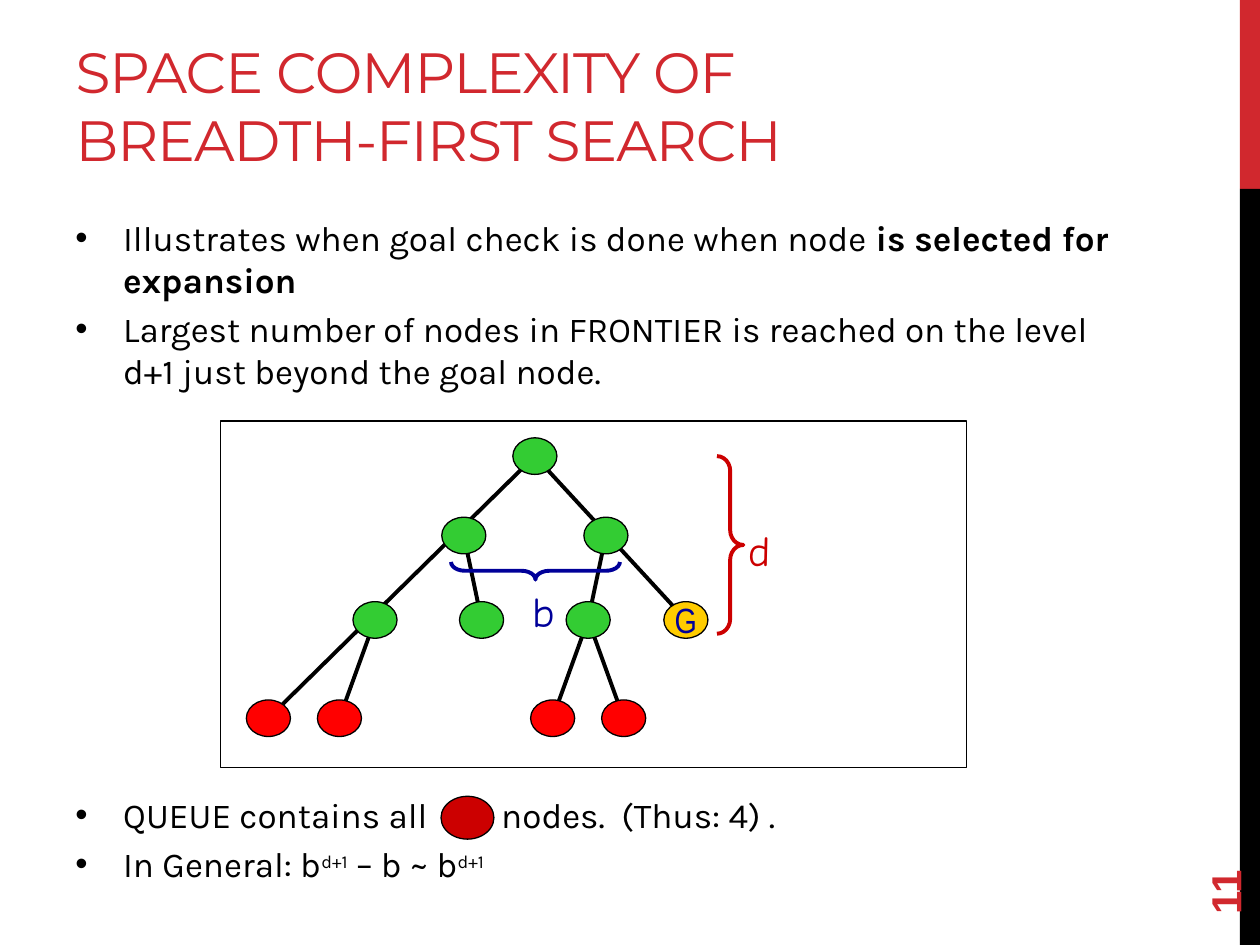
import pptx
import pptx.dml.color
import pptx.enum.shapes
import pptx.enum.text
import pptx.oxml.ns
import pptx.util
from lxml import etree

SHAPES = pptx.enum.shapes.MSO_SHAPE
ANCHOR = pptx.enum.text.MSO_ANCHOR
ALIGN = pptx.enum.text.PP_ALIGN
inch = pptx.util.Inches

RED, BLACK, WHITE = "D1282E", "000000", "FFFFFF"
GREEN, BRIGHT_RED, GOLD = "33CC33", "FF0000", "FFCC00"
NAVY, DARK_RED = "000099", "CC0000"

# Tree grid: 20 columns between the outer leaves, one row per level
TREE_LEFT, TREE_WIDTH, TREE_COLUMNS = 2.13, 2.82, 20
LEVELS = [3.62, 4.25, 4.92, 5.7]
NODE_SIZE = (0.35, 0.29)

# name: (column, level, fill)
NODES = {
    "root": (15, 0, GREEN),
    "left": (11, 1, GREEN),
    "right": (19, 1, GREEN),
    "left outer": (6, 2, GREEN),
    "left inner": (12, 2, GREEN),
    "right inner": (18, 2, GREEN),
    "goal": (23.5, 2, GOLD),
    "leaf 1": (0, 3, BRIGHT_RED),
    "leaf 2": (4, 3, BRIGHT_RED),
    "leaf 3": (16, 3, BRIGHT_RED),
    "leaf 4": (20, 3, BRIGHT_RED),
}
# The two outer branches run straight through the nodes between their ends
EDGES = [
    ("root", "leaf 1"), ("root", "goal"),
    ("left", "left inner"), ("left outer", "leaf 2"),
    ("right", "right inner"),
    ("right inner", "leaf 3"), ("right inner", "leaf 4"),
]


def color(value):
    return pptx.dml.color.RGBColor.from_string(value)


def add_span(para, text, font, size, fill, bold=False, raised=False):
    span = para.add_run()
    span.text = text
    span.font.name = font
    span.font.size = pptx.util.Pt(size)
    span.font.bold = bold
    span.font.color.rgb = color(fill)
    if raised:
        span.font._element.set("baseline", "30000")
    return span


def add_shape(page, kind, box, fill=None, line=None, width=0.75):
    shape = page.shapes.add_shape(kind, *map(inch, box))
    shape.shadow.inherit = False
    if fill:
        shape.fill.solid()
        shape.fill.fore_color.rgb = color(fill)
    else:
        shape.fill.background()
    if line:
        shape.line.color.rgb = color(line)
        shape.line.width = pptx.util.Pt(width)
    else:
        shape.line.fill.background()
    return shape


def add_text_box(page, box, wrap=True):
    text_box = page.shapes.add_textbox(*map(inch, box))
    text_box.text_frame.word_wrap = wrap
    return text_box


def add_label(page, box, text, fill):
    text_box = add_text_box(page, box, wrap=False)
    add_span(text_box.text_frame.paragraphs[0], text, "Comic Neue", 24, fill)


def add_child(parent, tag, **attributes):
    return etree.SubElement(parent, pptx.oxml.ns.qn(tag), attributes)


def format_bullet(para, tab=None):
    para.space_before = pptx.util.Pt(4)
    properties = para._p.get_or_add_pPr()
    indent = inch(0.38)
    properties.set("marL", str(indent))
    properties.set("indent", str(-indent))
    add_child(add_child(properties, "a:buClr"), "a:srgbClr", val=BLACK)
    add_child(properties, "a:buFont", typeface="Arial")
    add_child(properties, "a:buChar", char="•")
    if tab:
        stops = add_child(properties, "a:tabLst")
        add_child(stops, "a:tab", pos=str(inch(tab)), algn="l")


def add_bullets(page, top, items, tab=None):
    """Each item is a list of (text, style) spans."""
    frame = add_text_box(page, (0.5, top, 8.67, 1.08)).text_frame
    for index, item in enumerate(items):
        para = frame.add_paragraph() if index else frame.paragraphs[0]
        format_bullet(para, tab if "\t" in item[0][0] else None)
        for text, style in item:
            add_span(para, text, "Karla", 18 if style == "raised" else 20, BLACK,
                     bold=style == "bold", raised=style == "raised")


def node_center(name):
    column, level, _ = NODES[name]
    return TREE_LEFT + column * TREE_WIDTH / TREE_COLUMNS, LEVELS[level]


def add_edge(page, start, end):
    points = node_center(start) + node_center(end)
    edge = page.shapes.add_connector(
        pptx.enum.shapes.MSO_CONNECTOR.STRAIGHT, *map(inch, points))
    edge.line.color.rgb = color(BLACK)
    edge.line.width = pptx.util.Pt(2.25)
    add_child(edge._element.spPr, "a:effectLst")


def add_node(page, name):
    x, y = node_center(name)
    width, height = NODE_SIZE
    return add_shape(page, SHAPES.OVAL, (x - width / 2, y - height / 2, width, height),
                     NODES[name][2], BLACK)


def add_brace(page, kind, box, line, curve, rotation=0):
    brace = add_shape(page, kind, box, line=line, width=2.25)
    brace.adjustments[0] = curve
    brace.rotation = rotation


def add_tree(page):
    add_shape(page, SHAPES.RECTANGLE, (1.75, 3.34, 5.92, 2.75), WHITE, BLACK)
    for start, end in EDGES:
        add_edge(page, start, end)
    nodes = {name: add_node(page, name) for name in NODES}

    # Goal letter
    frame = nodes["goal"].text_frame
    frame.word_wrap = False
    frame.vertical_anchor = ANCHOR.MIDDLE
    frame.paragraphs[0].alignment = ALIGN.CENTER
    add_span(frame.paragraphs[0], "G", "Arial Narrow", 20, NAVY)

    # Branching factor and depth
    add_brace(page, SHAPES.LEFT_BRACE, (4.18, 3.86, 0.14, 1.34), NAVY, 0.79, 270)
    add_label(page, (4.13, 4.6, 0.34, 0.42), "b", NAVY)
    add_brace(page, SHAPES.RIGHT_BRACE, (5.69, 3.62, 0.21, 1.41), DARK_RED, 0.56)
    add_label(page, (5.84, 4.11, 0.34, 0.42), "d", DARK_RED)


def add_title(page, lines):
    title = page.shapes.title
    title.left, title.top, title.width, title.height = map(inch, (0.5, 0.17, 8.84, 1.25))
    frame = title.text_frame
    frame.auto_size = pptx.enum.text.MSO_AUTO_SIZE.NONE
    frame.vertical_anchor = ANCHOR.BOTTOM
    para = frame.paragraphs[0]
    para.alignment = ALIGN.LEFT
    for index, line in enumerate(lines):
        if index:
            para.add_line_break()
        span = add_span(para, line, "Montserrat", 32.4, RED)
        span.font._element.set("spc", "-60")


def add_page_number(page, number):
    text_box = add_text_box(page, (9, 6.44, 1.44, 0.4))
    text_box.rotation = 270
    text_box.text_frame.vertical_anchor = ANCHOR.MIDDLE
    add_span(text_box.text_frame.paragraphs[0], number, "Arial", 24, RED, bold=True)


def main():
    deck = pptx.Presentation()
    deck.slide_width, deck.slide_height = inch(10), inch(7.5)
    page = deck.slides.add_slide(deck.slide_layouts[5])

    # Side band, title and page number
    add_shape(page, SHAPES.RECTANGLE, (9.84, 0, 0.16, 1.5), RED)
    add_shape(page, SHAPES.RECTANGLE, (9.84, 1.5, 0.16, 6), BLACK)
    add_title(page, ["SPACE COMPLEXITY OF ", "BREADTH-FIRST SEARCH"])
    add_page_number(page, "11")

    # Statements above the tree
    add_bullets(page, 1.67, [
        [("Illustrates when goal check is done when node ", "plain"),
         ("is selected for expansion", "bold")],
        [("Largest number of nodes in FRONTIER is reached on the level d+1 "
          "just beyond the goal node.", "plain")],
    ])

    add_tree(page)

    # Conclusions below the tree, with a sample node inside the first line
    add_bullets(page, 6.25, [
        [("QUEUE contains all\tnodes.  (Thus: 4) .", "plain")],
        [("In General: b", "plain"), ("d+1", "raised"),
         (" – b ~ b", "plain"), ("d+1", "raised")],
    ], tab=3.38)
    add_shape(page, SHAPES.OVAL, (3.5, 6.32, 0.42, 0.34), DARK_RED, BLACK)

    deck.save("out.pptx")


if __name__ == "__main__":
    main()
